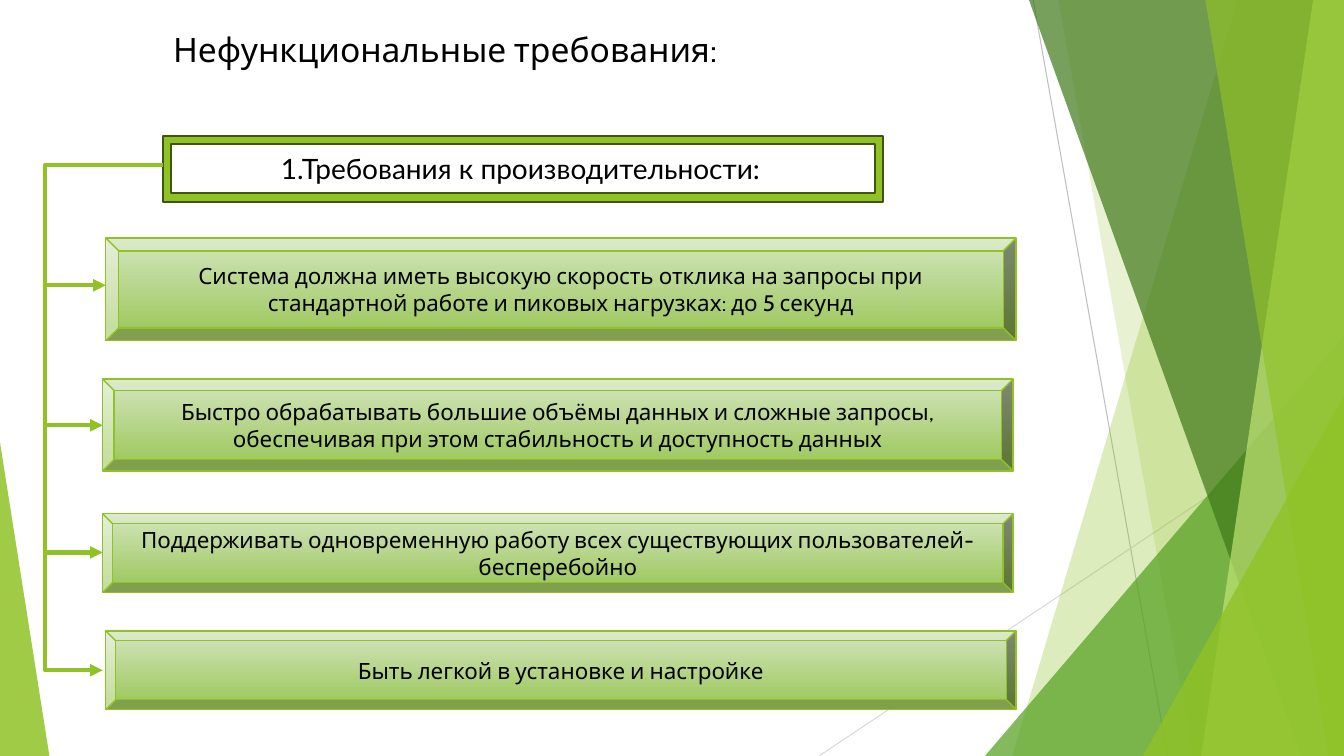
"""Build the slide on non-functional requirements."""
from lxml import etree
from pptx import Presentation
from pptx.dml.color import RGBColor
from pptx.enum.shapes import MSO_CONNECTOR, MSO_SHAPE
from pptx.enum.text import MSO_ANCHOR, MSO_AUTO_SIZE, PP_ALIGN
from pptx.oxml.ns import qn
from pptx.util import Pt

STRAIGHT, ELBOW = MSO_CONNECTOR.STRAIGHT, MSO_CONNECTOR.ELBOW
TRIANGLE, FRAME, BEVEL = MSO_SHAPE.ISOSCELES_TRIANGLE, MSO_SHAPE.FRAME, MSO_SHAPE.BEVEL
LEFT, CENTER, JUSTIFY = PP_ALIGN.LEFT, PP_ALIGN.CENTER, PP_ALIGN.JUSTIFY
MIDDLE = MSO_ANCHOR.MIDDLE
GROW = MSO_AUTO_SIZE.SHAPE_TO_FIT_TEXT

BLACK = RGBColor(0x00, 0x00, 0x00)
LIME = RGBColor(0x90, 0xC2, 0x26)
PALE_LIME = RGBColor(0xC0, 0xE4, 0x74)
GREEN = RGBColor(0x54, 0xA0, 0x21)
DARK_GREEN = RGBColor(0x3F, 0x78, 0x19)
OLIVE = RGBColor(0x3F, 0x55, 0x11)
BEVEL_TOP = RGBColor(0xD3, 0xE5, 0xBE)
BEVEL_BOTTOM = RGBColor(0xA0, 0xC9, 0x62)
GREY = RGBColor(0xBF, 0xBF, 0xBF)
LIGHT_GREY = RGBColor(0xD9, 0xD9, 0xD9)

WIDTH, HEIGHT = 960, 540
TRUNK_X = 32.2
REQUIREMENTS = [
    ("Система должна иметь высокую скорость отклика на запросы при стандартной "
     "работе и пиковых нагрузках: до 5 секунд", (75.6, 170, 650.2, 73.4), 203.8),
    ("Быстро обрабатывать большие объёмы данных и сложные запросы, обеспечивая "
     "при этом стабильность и доступность данных", (73.4, 270.8, 650.2, 65.5), 303.8),
    ("Поддерживать одновременную работу всех существующих пользователей- "
     "бесперебойно", (73.4, 367, 650.2, 56.2), 394.6),
    ("Быть легкой в установке и настройке", (75.6, 450.6, 650.2, 56.2), None),
]


def write(shape, text, font="Cabin", size=16, align=LEFT, before=None, after=None):
    """Put one formatted paragraph into a shape."""
    frame = shape.text_frame
    frame.word_wrap = True
    paragraph = frame.paragraphs[0]
    paragraph.alignment = align
    paragraph.space_before, paragraph.space_after = before, after
    run = paragraph.add_run()
    run.text = text
    run.font.name, run.font.size = font, Pt(size)
    run.font.color.rgb = BLACK


def add_label(slide, box, text, **text_format):
    """Add a text box that grows with its text."""
    label = slide.shapes.add_textbox(*map(Pt, box))
    write(label, text, **text_format)
    label.text_frame.auto_size = GROW


def add_line(slide, start, end, color=LIME, width=3, arrow=False, kind=STRAIGHT):
    """Add a connector without shadow, with an optional arrowhead."""
    line = slide.shapes.add_connector(kind, *map(Pt, start + end))
    line.line.color.rgb = color
    line.line.width = Pt(width)
    if arrow:
        etree.SubElement(line.line._get_or_add_ln(), qn("a:tailEnd"), type="triangle")
    etree.SubElement(line._element.spPr, qn("a:effectLst"))
    return line


def paint_facet(facet, color, opacity):
    """Give a facet a translucent fill and no outline."""
    facet.shadow.inherit = False
    facet.line.fill.background()
    facet.fill.solid()
    facet.fill.fore_color.rgb = color
    rgb = facet._element.spPr.find(qn("a:solidFill"))[0]
    etree.SubElement(rgb, qn("a:alpha"), val=str(opacity * 1000))


def add_band(slide, box, top_inset, bottom_inset, color, opacity):
    """Add a band along the right edge of the box, from insets at its top and bottom."""
    left, top, width, height = box
    right, bottom = left + width, top + height
    builder = slide.shapes.build_freeform(Pt(right - top_inset), Pt(top), scale=1.0)
    corners = [(right, top), (right, bottom), (right - bottom_inset, bottom)]
    builder.add_line_segments([(Pt(x), Pt(y)) for x, y in corners], close=True)
    paint_facet(builder.convert_to_shape(), color, opacity)


def add_corner(slide, box, width, height, peak, color, opacity):
    """Add a right triangle in a lower corner of the box; peak 0 is left, 1 is right."""
    left, top, box_width, box_height = box
    x = left + peak * (box_width - width)
    corner = slide.shapes.add_shape(
        TRIANGLE, *map(Pt, (x, top + box_height - height, width, height)))
    corner.adjustments[0] = peak
    paint_facet(corner, color, opacity)


def draw_backdrop(slide, box):
    """Draw the faceted green backdrop."""
    left, top, width, height = box
    right, bottom = left + width, top + height
    add_line(slide, (right - 222, top), (right - 126, bottom), GREY, 0.75)
    add_line(slide, (right, top + 290), (right - 375, bottom), LIGHT_GREY, 0.75)
    add_band(slide, box, 76, 237, LIME, 30)
    add_band(slide, box, 204, 108, LIME, 20)
    add_corner(slide, box, 256.5, 300, 1, GREEN, 72)
    add_band(slide, box, 225, 30.5, DARK_GREEN, 70)
    add_band(slide, box, 22, 102, PALE_LIME, 70)
    add_band(slide, box, 99, 11, LIME, 65)
    add_corner(slide, box, 143.5, 257, 1, LIME, 80)
    add_corner(slide, box, 35.3, 224, 0, LIME, 85)


def draw_heading(slide, box):
    """Draw the framed group heading."""
    left, top, _, _ = box
    frame = slide.shapes.add_shape(FRAME, *map(Pt, box))
    frame.shadow.inherit = False
    frame.fill.solid()
    frame.fill.fore_color.rgb = LIME
    frame.line.color.rgb = OLIVE
    frame.line.width = Pt(1.5)
    add_label(slide, (left + 77, top + 7.2, 481, 31.7),
              "1.Требования к производительности:", font="Lato", size=20,
              align=JUSTIFY, before=Pt(24), after=Pt(12))


def draw_requirement(slide, box, text):
    """Draw one bevelled requirement plate."""
    plate = slide.shapes.add_shape(BEVEL, *map(Pt, box))
    plate.shadow.inherit = False
    plate.fill.gradient()
    plate.fill.gradient_angle = 270
    stops = zip(plate.fill.gradient_stops, (0, 0.88), (BEVEL_TOP, BEVEL_BOTTOM))
    for stop, position, color in stops:
        stop.position = position
        stop.color.rgb = color
    plate.line.color.rgb = LIME
    plate.line.width = Pt(1)
    plate.text_frame.vertical_anchor = MIDDLE
    write(plate, text, align=CENTER)


def draw_trunk(slide, start, end):
    """Draw the bent arrow from the heading to the last requirement."""
    trunk = add_line(slide, start, end, arrow=True, kind=ELBOW)
    bend = round((start[0] - TRUNK_X) / (start[0] - end[0]) * 100000)
    guides = trunk._element.spPr.find(qn("a:prstGeom")).get_or_add_avLst()
    etree.SubElement(guides, qn("a:gd"), name="adj1", fmla=f"val {bend}")


def main():
    """Assemble and save the slide."""
    deck = Presentation()
    deck.slide_width, deck.slide_height = Pt(WIDTH), Pt(HEIGHT)
    slide = deck.slides.add_slide(deck.slide_layouts[6])
    draw_backdrop(slide, (0, 0, WIDTH, HEIGHT))
    draw_heading(slide, (116.6, 97.2, 514, 46.8))
    for text, box, _ in REQUIREMENTS:
        draw_requirement(slide, box, text)
    draw_trunk(slide, (116.6, 118), (73.4, 478.8))
    for _, box, arrow_y in REQUIREMENTS:
        if arrow_y:
            add_line(slide, (TRUNK_X, arrow_y), (box[0], arrow_y), arrow=True)
    add_label(slide, (116.6, 17.3, 585.4, 36), "Нефункциональные требования:", size=24)
    deck.save("out.pptx")


if __name__ == "__main__":
    main()
